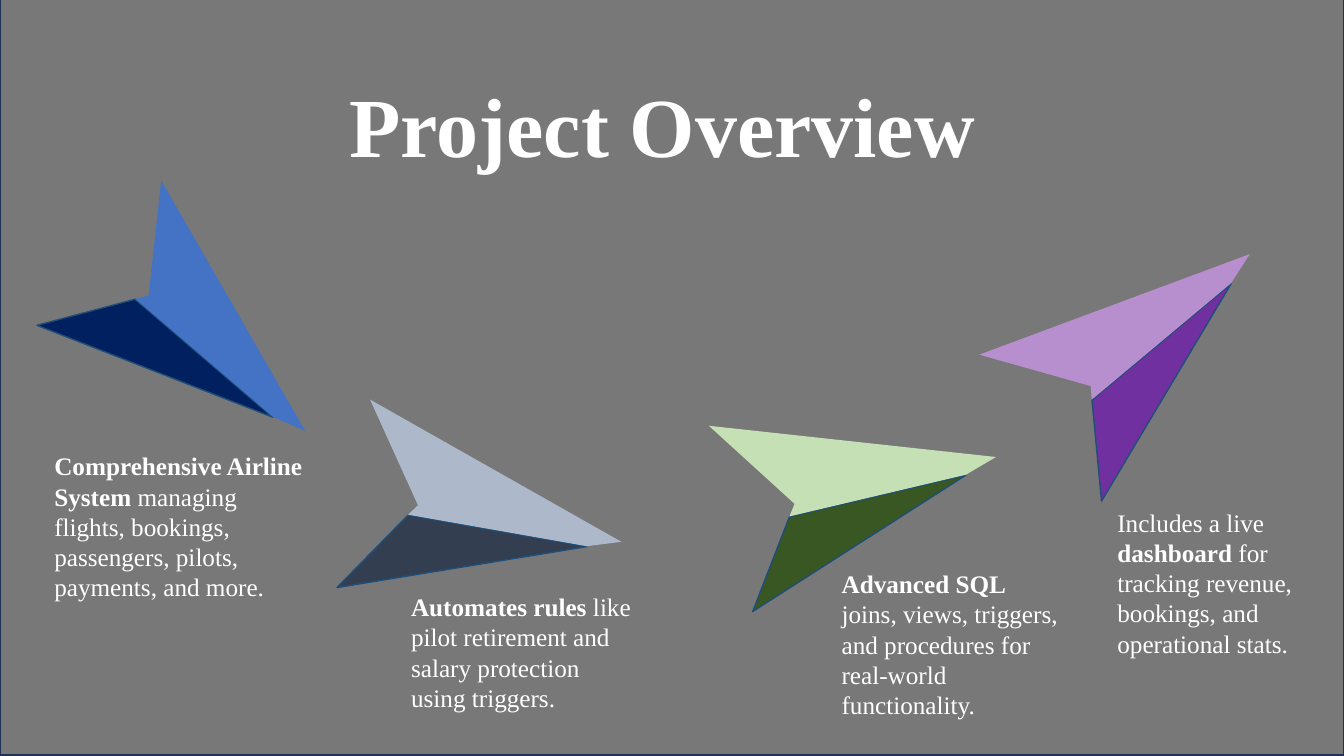
"""Build the Project Overview slide with four paper planes and their captions."""
import math
from dataclasses import dataclass

import lxml.etree
import pptx
import pptx.dml.color
import pptx.enum.shapes
import pptx.enum.text
import pptx.oxml.ns
import pptx.slide
import pptx.util
from pptx.util import Cm

COLORS = {
    "overlay": "000000", "frame": "1E3256", "text": "FFFFFF", "edge": "1F4E79",
    "navy": "002060", "blue": "4472C4", "slate": "333F50", "silver": "ADB9CA",
    "forest": "385723", "mint": "C5E0B4", "purple": "7030A0", "lilac": "B78ECE",
}
FONT = "Times New Roman"
LIGHT_WING = [(2.43, 0), (2.69, 0.84), (2.69, 5.41), (2.41, 5.21), (0, 6.86)]
DARK_WING = [(0, 0), (2.11, 6.02), (0, 4.57)]
DARK_OFFSET = (2.41, 0.42)


@dataclass
class Plane:
    center: tuple[float, float]
    angle: float
    dark: str
    light: str


@dataclass
class Caption:
    box: tuple[float, float, float, float]
    spans: list[tuple[str, bool]]
    size: int = 18
    align: pptx.enum.text.PP_ALIGN = pptx.enum.text.PP_ALIGN.LEFT


PLANES = [
    Plane((5.79, 7.8), 130.6, "navy", "blue"),
    Plane((12.47, 11.99), 100, "slate", "silver"),
    Plane((21.51, 11.25), 76.7, "forest", "mint"),
    Plane((28.17, 7.77), 50.1, "purple", "lilac"),
]
TITLE = Caption((6.38, 1.73, 21.16, 2.82), [("Project Overview ", True)], 60,
                pptx.enum.text.PP_ALIGN.CENTER)
CAPTIONS = [
    Caption((1.12, 11.23, 6.91, 4.11), [
        ("Comprehensive Airline System", True),
        (" managing flights, bookings, passengers, pilots, payments, and more.", False)]),
    Caption((10.11, 14.78, 6.1, 3.33), [
        ("Automates rules", True),
        (" like pilot retirement and salary protection using triggers.", False)]),
    Caption((20.96, 14.2, 5.97, 4.11), [
        ("Advanced SQL", True),
        (" joins, views, triggers, and procedures for real-world functionality.", False)]),
    Caption((27.91, 12.65, 5.69, 4.11), [
        ("Includes a live ", False), ("dashboard", True),
        (" for tracking revenue, bookings, and operational stats.", False)]),
]


def color(name: str) -> pptx.dml.color.RGBColor:
    return pptx.dml.color.RGBColor.from_string(COLORS[name])


def paint(shape, fill: str, line: str | None = None) -> None:
    shape.shadow.inherit = False
    shape.fill.solid()
    shape.fill.fore_color.rgb = color(fill)
    if line is None:
        shape.line.fill.background()
    else:
        shape.line.color.rgb = color(line)
        shape.line.width = pptx.util.Pt(1)


def add_overlay(page: pptx.slide.Slide, width: int, height: int) -> None:
    overlay = page.shapes.add_shape(
        pptx.enum.shapes.MSO_SHAPE.RECTANGLE, 0, Cm(-0.02), width, height)
    paint(overlay, "overlay", "frame")
    tint = overlay.fill._xPr.find(".//" + pptx.oxml.ns.qn("a:srgbClr"))
    lxml.etree.SubElement(tint, pptx.oxml.ns.qn("a:alpha"), val="53000")


def add_wing(page: pptx.slide.Slide, outline: list[tuple[float, float]],
             center: tuple[float, float], angle: float,
             fill: str, line: str | None = None) -> None:
    points = [(Cm(x), Cm(y)) for x, y in outline]
    builder = page.shapes.build_freeform(*points[0])
    builder.add_line_segments(points[1:], close=True)
    left, top = (middle - max(side) / 2 for middle, side in zip(center, zip(*outline)))
    wing = builder.convert_to_shape(Cm(left), Cm(top))
    wing.rotation = angle
    paint(wing, fill, line)


def add_plane(page: pptx.slide.Slide, plane: Plane) -> None:
    turn = math.radians(plane.angle)
    across, along = DARK_OFFSET
    dark_center = (
        plane.center[0] + across * math.cos(turn) - along * math.sin(turn),
        plane.center[1] + across * math.sin(turn) + along * math.cos(turn),
    )
    add_wing(page, DARK_WING, dark_center, plane.angle, plane.dark, "edge")
    add_wing(page, LIGHT_WING, plane.center, plane.angle, plane.light)


def add_caption(page: pptx.slide.Slide, caption: Caption) -> None:
    frame = page.shapes.add_textbox(*map(Cm, caption.box)).text_frame
    frame.word_wrap = True
    frame.auto_size = pptx.enum.text.MSO_AUTO_SIZE.SHAPE_TO_FIT_TEXT
    para = frame.paragraphs[0]
    para.alignment = caption.align
    for text, bold in caption.spans:
        span = para.add_run()
        span.text = text
        formats = {"name": FONT, "size": pptx.util.Pt(caption.size), "bold": bold}
        for key, value in formats.items():
            setattr(span.font, key, value)
        span.font.color.rgb = color("text")


def main() -> None:
    deck = pptx.Presentation()
    deck.slide_width, deck.slide_height = Cm(33.87), Cm(19.05)
    page = deck.slides.add_slide(deck.slide_layouts[6])
    add_overlay(page, deck.slide_width, deck.slide_height)
    add_caption(page, TITLE)
    for plane in PLANES:
        add_plane(page, plane)
    for caption in CAPTIONS:
        add_caption(page, caption)
    deck.save("out.pptx")


if __name__ == "__main__":
    main()
